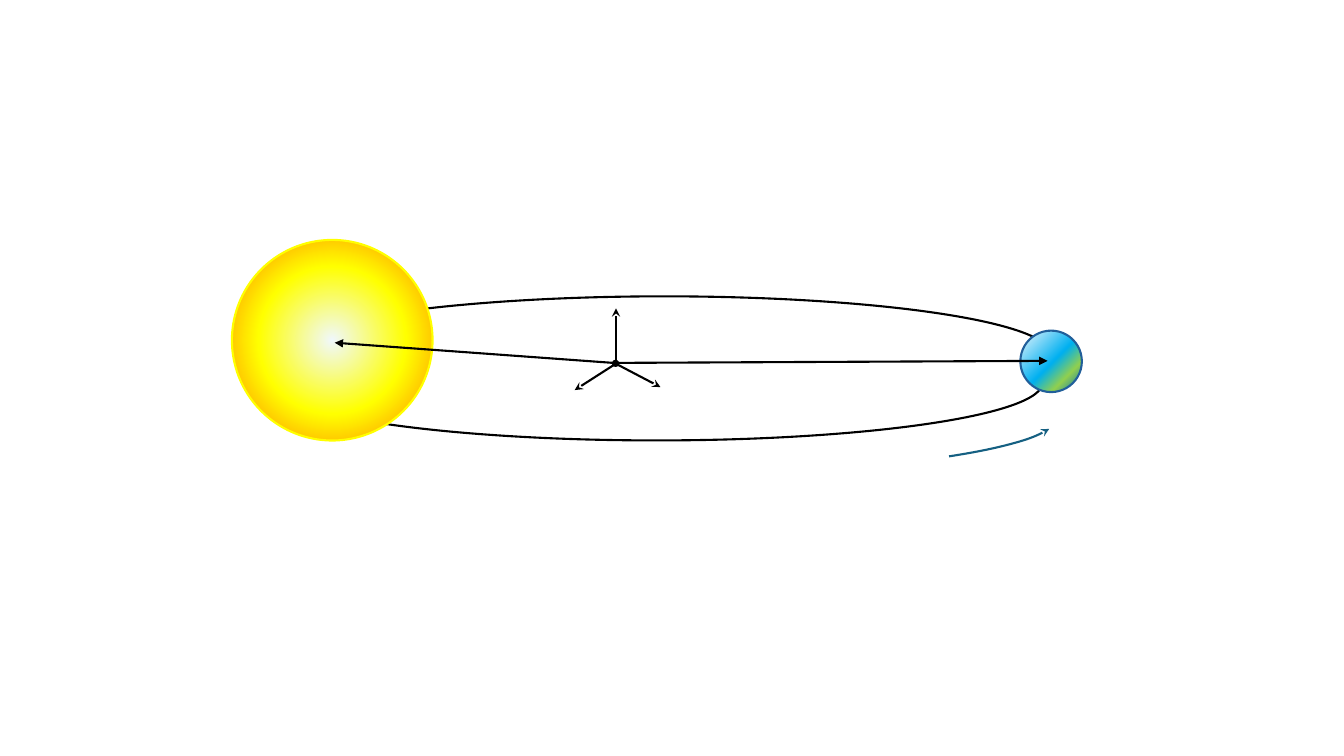
from lxml import etree
from pptx import Presentation
from pptx.dml.color import RGBColor
from pptx.enum.shapes import MSO_CONNECTOR, MSO_SHAPE
from pptx.oxml.ns import qn
from pptx.util import Emu, Pt

ARC, OVAL = MSO_SHAPE.ARC, MSO_SHAPE.OVAL
STRAIGHT = MSO_CONNECTOR.STRAIGHT
EMU_PER_PX = 9144  # 100 px to the inch
BLANK_LAYOUT = 6

COLORS = {
    "black": "000000", "motion": "156082", "glow": "F0F8FD",
    "yellow": "FFFF00", "orange": "FFC000", "red": "FF0000",
    "sky": "00B0F0", "land": "92D050", "ocean": "0070C0", "rim": "215F9A",
}
# Gradient stops as (percent, colour); focus as left, top, right, bottom percent
SUN_STOPS = [(0, "glow"), (52, "yellow"), (75, "orange"), (99, "red")]
EARTH_STOPS = [(0, "glow"), (52, "sky"), (75, "land"), (99, "ocean")]
CENTER_FOCUS = (50, 50, 50, 50)
CORNER_FOCUS = (0, 0, 100, 100)


def px(length):
    return Emu(length * EMU_PER_PX)


def style_line(shape, color, arrowhead=None):
    shape.line.color.rgb = RGBColor.from_string(COLORS[color])
    shape.line.width = Pt(1.5)
    if arrowhead:
        line = shape.line._get_or_add_ln()
        etree.SubElement(line, qn("a:tailEnd"), type=arrowhead)


def add_outline_shape(shapes, kind, box, color, arrowhead=None):
    shape = shapes.add_shape(kind, *map(px, box))
    shape.shadow.inherit = False
    shape.fill.background()
    style_line(shape, color, arrowhead)
    return shape


def add_arrow(shapes, start, end, arrowhead):
    connector = shapes.add_connector(STRAIGHT, *map(px, (*start, *end)))
    style_line(connector, "black", arrowhead)
    etree.SubElement(connector._element.spPr, qn("a:effectLst"))


def add_arc(shapes, box, angles, color, flipped=False, arrowhead=None):
    arc = add_outline_shape(shapes, ARC, box, color, arrowhead)
    for index, angle in enumerate(angles):
        arc.adjustments[index] = angle * 0.6  # 60000 units per degree
    if flipped:
        arc._element.spPr.find(qn("a:xfrm")).set("flipV", "1")


def add_body(shapes, box, stops, focus, rim):
    """Sphere with a circular gradient."""
    body = add_outline_shape(shapes, OVAL, box, rim)
    gradient = etree.Element(qn("a:gradFill"), rotWithShape="1")
    stop_list = etree.SubElement(gradient, qn("a:gsLst"))
    for percent, color in stops:
        stop = etree.SubElement(stop_list, qn("a:gs"), pos=str(percent * 1000))
        etree.SubElement(stop, qn("a:srgbClr"), val=COLORS[color])
    circle = etree.SubElement(gradient, qn("a:path"), path="circle")
    sides = {side: str(percent * 1000) for side, percent in zip("ltrb", focus)}
    etree.SubElement(circle, qn("a:fillToRect"), **sides)
    properties = body._element.spPr
    properties.replace(properties.find(qn("a:noFill")), gradient)


def add_orbit(shapes, box):
    """Upper and lower halves of the orbit, and the direction of motion."""
    left, top, width, height = box
    half_turn = (175.91, 359.23)
    add_arc(shapes, box, half_turn, "black")
    add_arc(shapes, (left - 8, top + 29, width, height), half_turn, "black",
            flipped=True)
    add_arc(shapes, (left + 8, top + 62, width, height), (351.75, 358.08),
            "motion", flipped=True, arrowhead="stealth")


def add_axes(shapes, box):
    """Origin dot with three coordinate axes."""
    left, top, width, height = box
    axes = shapes.add_group_shape().shapes
    origin = add_outline_shape(axes, OVAL, (left + 38, top + 52, 5, 5), "black")
    origin.fill.solid()
    origin.fill.fore_color.rgb = RGBColor.from_string(COLORS["black"])
    for start, end in [((41, 52), (41, 0)),
                       ((39, 56), (0, height)),
                       ((43, 56), (width, height - 3))]:
        add_arrow(axes, (left + start[0], top + start[1]),
                  (left + end[0], top + end[1]), "stealth")


def main():
    presentation = Presentation()
    presentation.slide_width, presentation.slide_height = px(1333), px(750)
    layout = presentation.slide_layouts[BLANK_LAYOUT]
    shapes = presentation.slides.add_slide(layout).shapes

    add_orbit(shapes, (276, 294, 766, 114))
    add_axes(shapes, (570, 306, 85, 81))

    # Sun and Earth, each with its position vector
    add_body(shapes, (230, 238, 199, 199), SUN_STOPS, CENTER_FOCUS, "yellow")
    add_arrow(shapes, (608, 360), (332, 340), "triangle")
    add_body(shapes, (1012, 328, 61, 61), EARTH_STOPS, CORNER_FOCUS, "rim")
    add_arrow(shapes, (613, 360), (1039, 358), "triangle")

    presentation.save("out.pptx")


if __name__ == "__main__":
    main()
